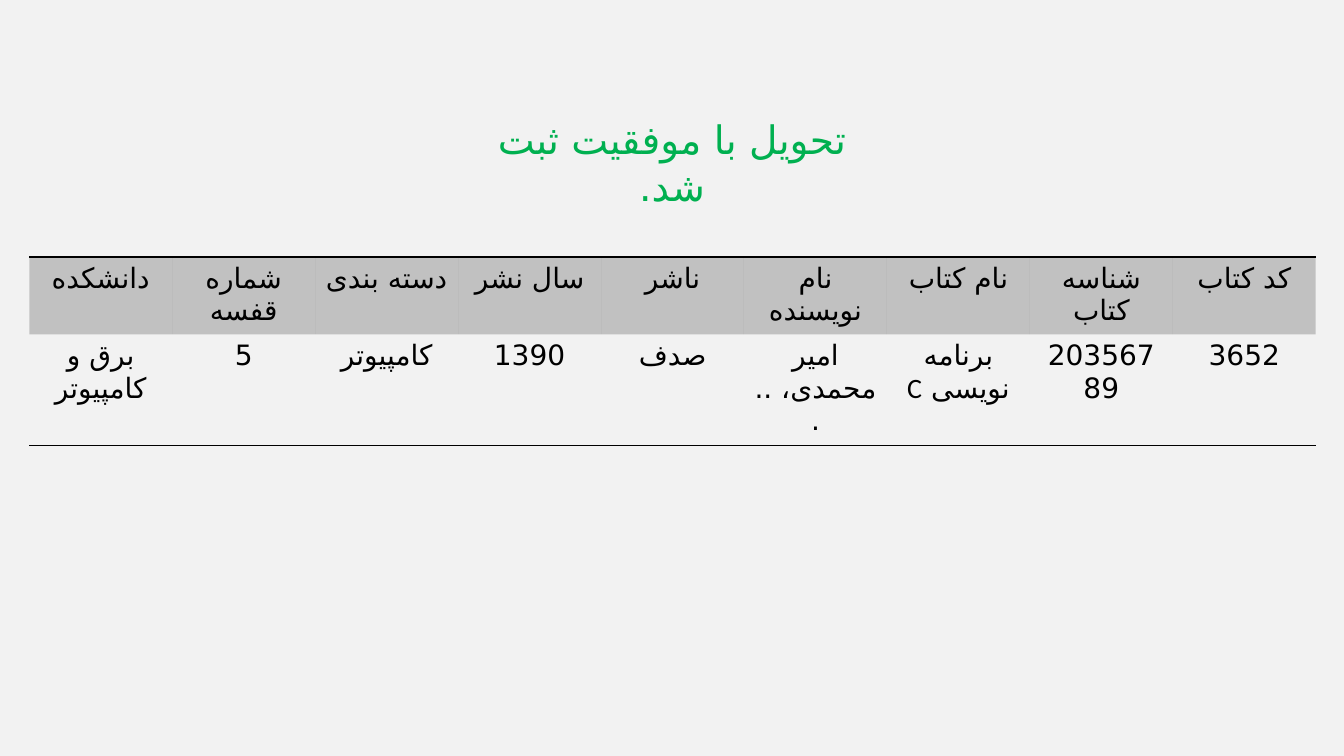
from lxml.etree import SubElement
from pptx import Presentation
from pptx.dml.color import RGBColor
from pptx.enum.text import MSO_ANCHOR, MSO_AUTO_SIZE, PP_ALIGN
from pptx.oxml import parse_xml
from pptx.oxml.ns import nsdecls, qn
from pptx.util import Inches, Pt

BLACK, GREEN, PAPER = "000000", "00B050", "F2F2F2"
FONT, LANGUAGE = "Calibri", "fa-IR"
PLAIN_TABLE = "{2D5ABB26-0587-4C30-8999-92F81FD0307C}"

# Each column holds a heading and its value, from left to right
BOOK = [
    ("دانشکده", "برق و کامپیوتر"),
    ("شماره قفسه", "5"),
    ("دسته بندی", "کامپیوتر"),
    ("سال نشر", "1390"),
    ("ناشر", "صدف"),
    ("نام نویسنده", "امیر محمدی، ..."),
    ("نام کتاب", "برنامه نویسی C"),
    ("شناسه کتاب", "20356789"),
    ("کد کتاب", "3652"),
]


def color(value):
    return RGBColor.from_string(value)


def write(frame, text, size, text_color):
    """Fill a text frame with one centred right-to-left paragraph."""
    para = frame.paragraphs[0]
    para.alignment = PP_ALIGN.CENTER
    para._p.get_or_add_pPr().set("rtl", "1")
    span = para.add_run()
    span.text = text
    span.font.size = Pt(size)
    span.font.bold = False
    span.font.name = FONT
    span.font.color.rgb = color(text_color)
    span.font._element.set("lang", LANGUAGE)
    # The complex script font is left to the reader's default
    SubElement(span.font._element, qn("a:cs"), typeface="B Nazanin")


def rule(cell, side):
    """Draw a thin black line on one side of a cell: T or B."""
    line = parse_xml(
        f'<a:ln{side} {nsdecls("a")} w="{Pt(1)}"><a:solidFill>'
        f'<a:srgbClr val="{BLACK}"/></a:solidFill></a:ln{side}>'
    )
    cell._tc.get_or_add_tcPr().insert(0, line)


def shade(cell):
    """Tint a heading cell with 20% black."""
    cell.fill.solid()
    cell.fill.fore_color.rgb = color(BLACK)
    tint = cell._tc.tcPr.find(f'{qn("a:solidFill")}/{qn("a:srgbClr")}')
    SubElement(tint, qn("a:alpha"), val="20000")


def add_message(page, left, top, width, height):
    title = page.shapes.title
    title.left, title.top = Inches(left), Inches(top)
    title.width, title.height = Inches(width), Inches(height)
    frame = title.text_frame
    frame.word_wrap = True
    frame.auto_size = MSO_AUTO_SIZE.SHAPE_TO_FIT_TEXT
    frame.vertical_anchor = MSO_ANCHOR.TOP
    write(frame, "تحویل با موفقیت ثبت شد.", 28, GREEN)


def add_book_table(page, left, top, width, height):
    holder = page.shapes.add_table(
        2, len(BOOK), Inches(left), Inches(top), Inches(width), Inches(height)
    )
    table = holder.table
    table.horz_banding = False
    table._tbl.tblPr.find(qn("a:tableStyleId")).text = PLAIN_TABLE
    for column, (heading, value) in enumerate(BOOK):
        table.columns[column].width = Inches(width / len(BOOK))
        # Heading above, value below
        top_cell, bottom_cell = table.cell(0, column), table.cell(1, column)
        write(top_cell.text_frame, heading, 20, BLACK)
        shade(top_cell)
        rule(top_cell, "T")
        write(bottom_cell.text_frame, value, 20, BLACK)
        bottom_cell.fill.background()
        rule(bottom_cell, "B")


def main():
    deck = Presentation()
    deck.slide_width, deck.slide_height = Inches(13.33), Inches(7.5)
    page = deck.slides.add_slide(deck.slide_layouts[5])
    page.background.fill.solid()
    page.background.fill.fore_color.rgb = color(PAPER)
    add_book_table(page, 0.29, 2.55, 12.76, 0.82)
    add_message(page, 4.74, 1.09, 3.85, 0.57)
    deck.save("out.pptx")


if __name__ == "__main__":
    main()
